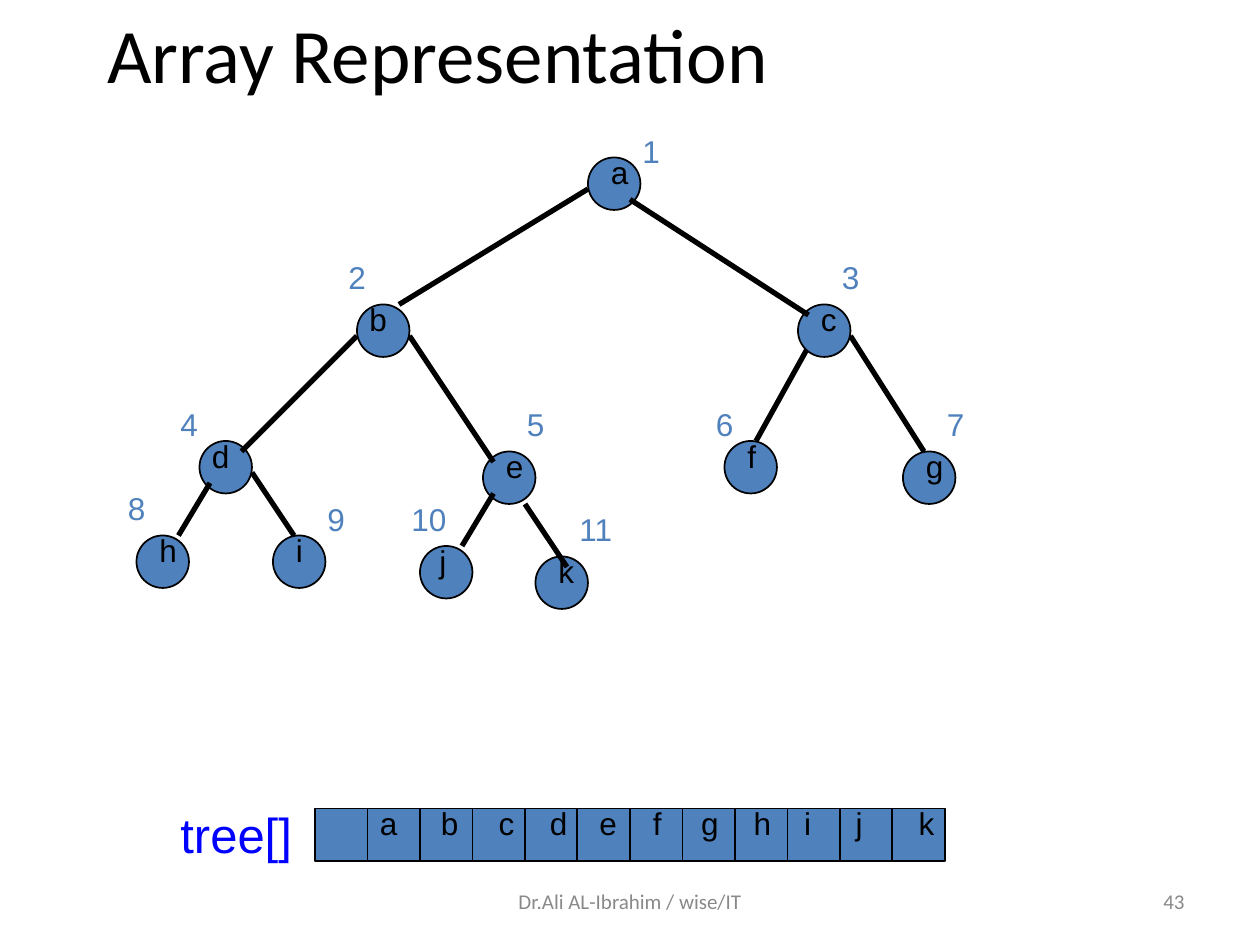
"""Build a slide that shows a binary tree and its array representation."""
from pptx import Presentation
from pptx.dml.color import RGBColor
from pptx.enum.shapes import MSO_CONNECTOR, MSO_SHAPE
from pptx.enum.text import MSO_ANCHOR, PP_ALIGN
from pptx.util import Inches, Pt
from lxml import etree

OVAL, RECT = MSO_SHAPE.OVAL, MSO_SHAPE.RECTANGLE
LINE = MSO_CONNECTOR.STRAIGHT
TOP, MID = MSO_ANCHOR.TOP, MSO_ANCHOR.MIDDLE
LEFT, MIDDLE, RIGHT = PP_ALIGN.LEFT, PP_ALIGN.CENTER, PP_ALIGN.RIGHT
HEX = {"ink": "000000", "fill": "4F81BD", "name": "0000FF", "foot": "898989"}
INK = {key: RGBColor.from_string(val) for key, val in HEX.items()}
DRAW = "http://schemas.openxmlformats.org/drawingml/2006/main"

deck = Presentation()
deck.slide_width, deck.slide_height = Inches(10), Inches(7.5)
unit = deck.slide_width / 120
slide = deck.slides.add_slide(deck.slide_layouts[5])
shapes = slide.shapes


def write(box, text, size=18, font="Arial", ink="ink", align=LEFT, anchor=TOP):
    frame = box.text_frame
    frame.text = text
    for key, val in {"word_wrap": True, "vertical_anchor": anchor}.items():
        setattr(frame, key, val)
    para = frame.paragraphs[0]
    para.alignment = align
    face = para.runs[0].font
    for key, val in {"name": font, "size": Pt(size)}.items():
        setattr(face, key, val)
    face.color.rgb = INK[ink]


def grid(*vals):
    return [round(val * unit) for val in vals]


title = shapes.title
for side, val in zip(("left", "top", "width", "height"), grid(9, 0, 102, 10)):
    setattr(title, side, val)
write(title, "Array Representation", 44, "Calibri", anchor=MID)

nodes = {
    "a": (56, 15), "b": (34, 29), "c": (76, 29), "d": (19, 42),
    "e": (46, 43), "f": (69, 42), "g": (86, 43), "h": (13, 51),
    "i": (26, 51), "j": (40, 52), "k": (51, 53),
}
stages = [
    ("defgk", [(77, 33, 72, 42), (81, 32, 88, 43),
               (34, 32, 23, 43), (39, 32, 47, 44)]),
    ("abchij", [(56, 18, 38, 29), (60, 19, 77, 30), (20, 46, 17, 51),
                (24, 45, 28, 51), (47, 47, 44, 52), (50, 48, 54, 54)]),
]
cells = [(RECT, 30 + 5 * col, 77) for col in range(12)]

for names, edges in stages:
    for kind, x, y in cells + [(OVAL, *nodes[name]) for name in names]:
        shape = shapes.add_shape(kind, *grid(x, y, 5, 5))
        shape.shadow.inherit = False
        shape.fill.solid()
        shape.fill.fore_color.rgb = INK["fill"]
        shape.line.color.rgb = INK["ink"]
        shape.line.width = Pt(1)
    cells = []
    for ends in edges:
        edge = shapes.add_connector(LINE, *grid(*ends))
        edge.line.color.rgb = INK["ink"]
        edge.line.width = Pt(3)
        etree.SubElement(edge._element.spPr, f"{{{DRAW}}}effectLst")

shift = {"b": 0, "d": 0, "j": 0.67}
slots = [35, 40.8, 46.3, 51.2, 55.9, 61, 65.6, 70.6, 75.4, 80.3, 86.3]
marks = [(60, 12), (32, 24), (79, 24), (16, 38), (49, 38), (67, 38),
         (89, 38), (11, 46), (30, 47), (38, 47), (54, 48)]
rows = zip(nodes.items(), slots, marks)
for rank, ((name, (x, y)), slot, mark) in enumerate(rows, 1):
    wide = 5 if rank < 10 else 8
    for text, left, top, width, ink in (
        (name, x + shift.get(name, 1), y - 1, 4, "ink"),
        (name, slot, 76, 4, "ink"),
        (str(rank), *mark, wide, "fill"),
    ):
        write(shapes.add_textbox(*grid(left, top, width, 4.8)), text, ink=ink)

for text, place, form in (
    ("tree[]", (16, 76, 15, 6.8), {"size": 28, "ink": "name"}),
    ("Dr.Ali AL-Ibrahim / wise/IT", (41, 83.4, 38, 4.8),
     {"size": 12, "font": "Calibri", "ink": "foot", "align": MIDDLE, "anchor": MID}),
    ("43", (86, 83.4, 28, 4.8),
     {"size": 12, "font": "Calibri", "ink": "foot", "align": RIGHT, "anchor": MID}),
):
    write(shapes.add_textbox(*grid(*place)), text, **form)

deck.save("out.pptx")
